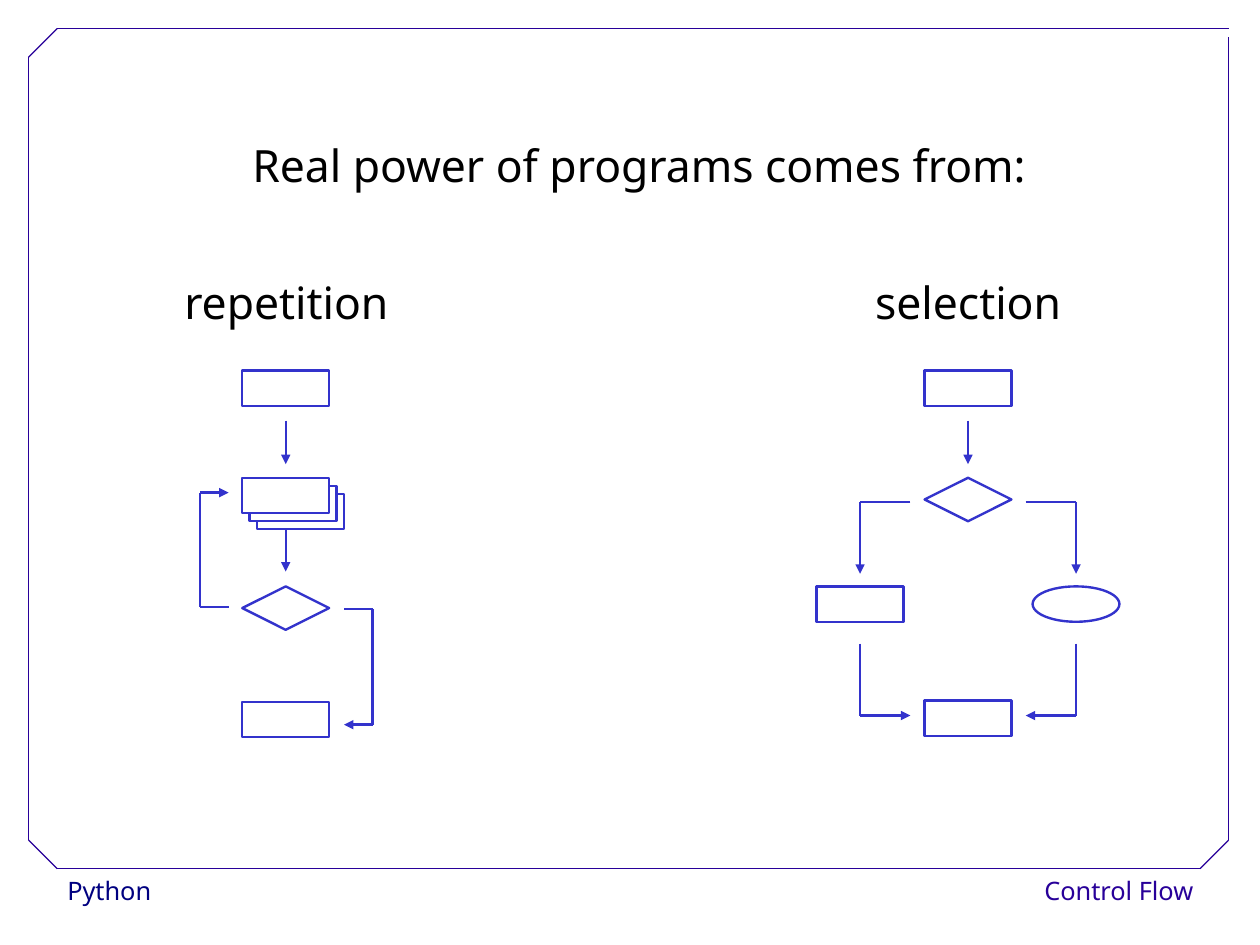
"""Build a slide that contrasts repetition and selection as flowcharts."""
from itertools import pairwise

from lxml import etree
from pptx import Presentation
from pptx.dml.color import RGBColor
from pptx.enum.shapes import MSO_CONNECTOR as Connector, MSO_SHAPE as Preset
from pptx.enum.text import MSO_ANCHOR as Anchor, MSO_AUTO_SIZE as AutoSize, PP_ALIGN as Align
from pptx.oxml.ns import qn
from pptx.util import Inches, Pt

COLORS = {
    "paper": "FFFFFF",
    "ink": "000000",
    "frame": "280099",
    "course": "000080",
    "flow": "3333CC",
}
SLIDE_WIDTH, SLIDE_HEIGHT = Pt(793.75), Pt(595.25)
CELL = Inches(0.1)
FONT = "Noto Sans"


def cells(*counts):
    return [round(count * CELL) for count in counts]


def color(name):
    return RGBColor.from_string(COLORS[name])


def write(shape, text, size=28, ink="ink", align=Align.CENTER, spacing=1.5, wrap=False):
    frame = shape.text_frame
    frame.auto_size = AutoSize.NONE
    frame.word_wrap = wrap
    frame.vertical_anchor = Anchor.TOP
    paragraph = frame.paragraphs[0]
    paragraph.alignment = align
    paragraph.line_spacing = spacing
    run = paragraph.add_run()
    run.text = text
    run.font.name = FONT
    run.font.size = Pt(size)
    run.font.color.rgb = color(ink)


class FlowSlide:
    node_width = 7.6
    heights = {Preset.RECTANGLE: 3.1, Preset.OVAL: 3.1, Preset.DIAMOND: 3.8}

    def __init__(self, presentation):
        self.slide = presentation.slides.add_slide(presentation.slide_layouts[5])

    def title(self, text, left, top, width, height):
        shape = self.slide.shapes.title
        shape.left, shape.top, shape.width, shape.height = cells(left, top, width, height)
        write(shape, text, wrap=True)

    def label(self, text, left, top, width, height, **style):
        box = self.slide.shapes.add_textbox(*cells(left, top, width, height))
        write(box, text, **style)

    def node(self, center, top, preset=Preset.RECTANGLE):
        left = center - self.node_width / 2
        place = cells(left, top, self.node_width, self.heights[preset])
        shape = self.slide.shapes.add_shape(preset, *place)
        shape.shadow.inherit = False
        shape.fill.solid()
        shape.fill.fore_color.rgb = color("paper")
        shape.line.color.rgb = color("flow")
        shape.line.width = Pt(1.5)

    def route(self, *points, ink="flow", weight=1.5, arrow=True):
        for start, end in pairwise(points):
            line = self.slide.shapes.add_connector(
                Connector.STRAIGHT, *cells(*start, *end))
            line.line.color.rgb = color(ink)
            line.line.width = Pt(weight)
            properties = line._element.spPr
            etree.SubElement(properties, qn("a:effectLst"))
            if arrow and end == points[-1]:
                tail = etree.SubElement(properties.find(qn("a:ln")), qn("a:tailEnd"))
                tail.set("type", "triangle")


def draw_frame(page):
    page.label("Python", 4.9, 76, 21.5, 4, size=16, ink="course",
               align=Align.LEFT, spacing=1.02)
    page.label("Control Flow", 91.4, 76, 14, 4, size=16, ink="frame",
               align=Align.RIGHT, spacing=1.02)
    page.route((107.5, 2.5), (5, 2.5), (2.5, 5), (2.5, 73.5), (5, 76), (105, 76),
               (107.5, 73.5), (107.5, 3.2), ink="frame", weight=0.75, arrow=False)


def draw_repetition(page, center):
    page.label("repetition", 10.1, 21.2, 29.9, 8)
    page.node(center, 32.4)
    page.route((center, 36.8), (center, 40.6))
    page.route((center, 46.2), (center, 50))
    for step in (2, 1, 0):
        page.node(center + 0.65 * step, 41.8 + 0.7 * step)
    page.node(center, 51.3, Preset.DIAMOND)
    page.node(center, 61.4)
    page.route((center - 5, 53.1), (center - 7.5, 53.1),
               (center - 7.5, 43.1), (center - 5, 43.1))
    page.route((center + 5.1, 53.3), (center + 7.6, 53.3),
               (center + 7.6, 63.4), (center + 5.1, 63.4))


def draw_selection(page, center):
    page.label("selection", 70.6, 21.2, 28.2, 8)
    page.node(center, 32.4)
    page.route((center, 36.8), (center, 40.6))
    page.node(center, 41.8, Preset.DIAMOND)
    page.node(center, 61.3)
    for side, preset in ((-1, Preset.RECTANGLE), (1, Preset.OVAL)):
        inner, branch = center + 5.05 * side, center + 9.45 * side
        page.node(branch, 51.3, preset)
        page.route((inner, 43.9), (branch, 43.9), (branch, 50.2))
        page.route((branch, 56.3), (branch, 62.6), (inner, 62.6))


def main():
    presentation = Presentation()
    presentation.slide_width = SLIDE_WIDTH
    presentation.slide_height = SLIDE_HEIGHT
    page = FlowSlide(presentation)
    draw_frame(page)
    page.title("Real power of programs comes from:", 10.1, 9.2, 91.6, 8)
    draw_repetition(page, center=25)
    draw_selection(page, center=84.7)
    presentation.save("out.pptx")


if __name__ == "__main__":
    main()
